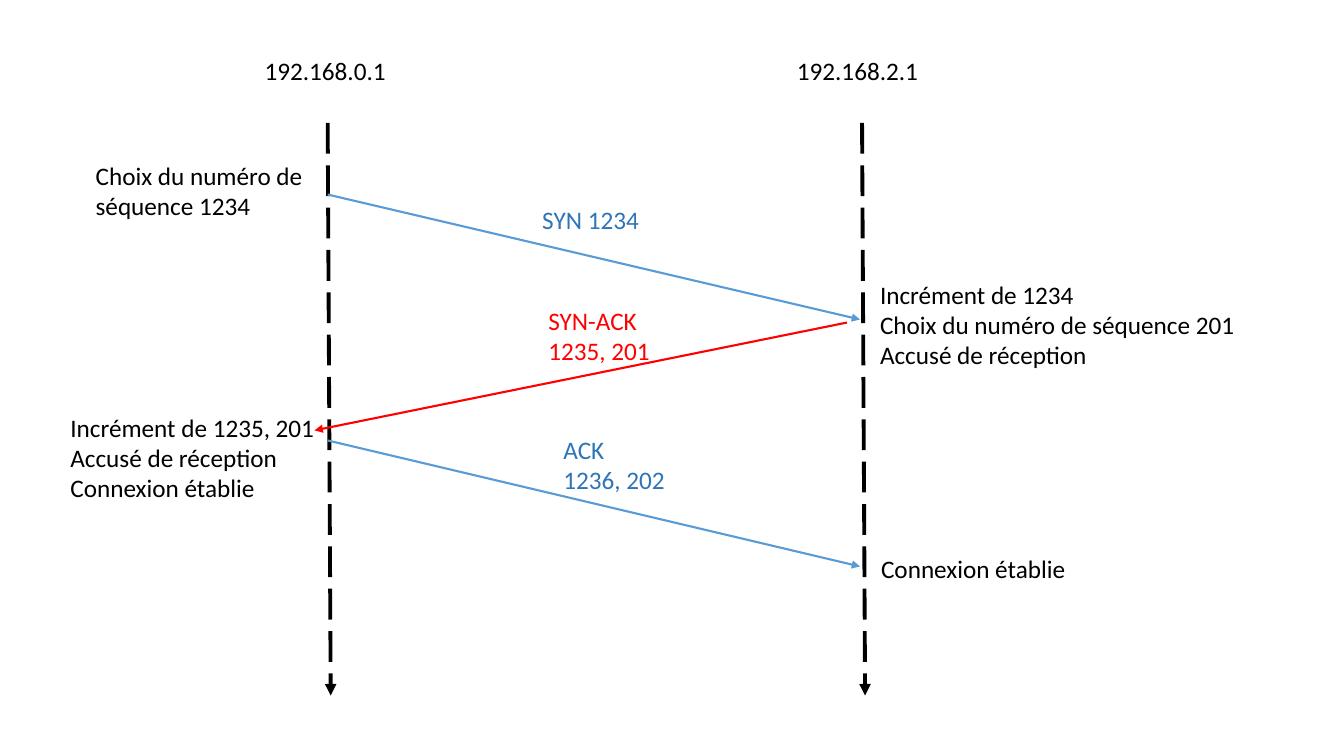
from pptx import Presentation
from pptx import util as u
from pptx.dml.color import RGBColor
from pptx.enum import dml, shapes, text
from pptx.oxml.ns import qn
from lxml import etree

BLACK = RGBColor(0x00, 0x00, 0x00)
BLUE = RGBColor(0x5B, 0x9B, 0xD5)
DARK_BLUE = RGBColor(0x2E, 0x75, 0xB6)
RED = RGBColor(0xFF, 0x00, 0x00)

WIDTH, HEIGHT = 13.33, 7.5
CLIENT_X, SERVER_X = 3.25, 8.55
LIFELINE_TOP, LIFELINE_BOTTOM, LIFELINE_DRIFT = 1.22, 6.9, 0.03
HOST_TOP, HOST_WIDTH = 0.5, 1.49
LABEL_WIDTH = 1.27
LINE_HEIGHT, BOX_PADDING = 0.3, 0.1

HOSTS = [("192.168.0.1", CLIENT_X, 0.02), ("192.168.2.1", SERVER_X, 0)]

MESSAGES = [
    ((CLIENT_X, 1.93), (SERVER_X - 0.02, 3.17), BLUE),
    ((SERVER_X - 0.15, 3.2), (CLIENT_X - 0.13, 4.27), RED),
    ((CLIENT_X, 4.37), (SERVER_X - 0.02, 5.62), BLUE),
]

LABELS = [
    (["SYN 1234"], 1, 5.28, 1.98, DARK_BLUE),
    (["SYN-ACK 1235, 201"], 2, 5.34, 2.98, RED),
    (["ACK", "1236, 202"], 2, 5.49, 4.26, DARK_BLUE),
]

NOTES = [
    (["Choix du numéro de séquence 1234"], 2, 0.85, 1.54, 2.38),
    (["Incrément de 1234", "Choix du numéro de séquence 201", "Accusé de réception"],
     3, SERVER_X + 0.08, 2.72, 3.82),
    (["Incrément de 1235, 201", "Accusé de réception", "Connexion établie"],
     3, 0.6, 4.04, 2.64),
    (["Connexion établie"], 1, SERVER_X + 0.09, 5.44, 2.35),
]


def add_arrow(slide, start, end, color, width, dash=None):
    points = [u.Inches(value) for value in (*start, *end)]
    connector = slide.shapes.add_connector(shapes.MSO_CONNECTOR.STRAIGHT, *points)
    connector.line.color.rgb = color
    connector.line.width = u.Pt(width)
    if dash is not None:
        connector.line.dash_style = dash
    properties = connector._element.spPr
    outline = properties.find(qn("a:ln"))
    etree.SubElement(outline, qn("a:tailEnd"), type="triangle")
    etree.SubElement(properties, qn("a:effectLst"))


def add_text(slide, lines, line_count, left, top, width, color=BLACK):
    height = LINE_HEIGHT * line_count + BOX_PADDING
    box = slide.shapes.add_textbox(*(u.Inches(v) for v in (left, top, width, height)))
    frame = box.text_frame
    frame.word_wrap = True
    frame.auto_size = text.MSO_AUTO_SIZE.SHAPE_TO_FIT_TEXT
    frame.text = "\n".join(lines)
    for paragraph in frame.paragraphs:
        for run in paragraph.runs:
            run.font.name = "Calibri"
            run.font.size = u.Pt(18)
            run.font.color.rgb = color


def main():
    presentation = Presentation()
    presentation.slide_width = u.Inches(WIDTH)
    presentation.slide_height = u.Inches(HEIGHT)
    slide = presentation.slides.add_slide(presentation.slide_layouts[6])

    for address, x, offset in HOSTS:
        add_arrow(slide, (x, LIFELINE_TOP), (x + LIFELINE_DRIFT, LIFELINE_BOTTOM),
                  BLACK, 2.75, dml.MSO_LINE.LONG_DASH)
        add_text(slide, [address], 1, x - HOST_WIDTH / 2 + offset, HOST_TOP, HOST_WIDTH)

    for start, end, color in MESSAGES:
        add_arrow(slide, start, end, color, 1.5)

    for lines, line_count, left, top, color in LABELS:
        add_text(slide, lines, line_count, left, top, LABEL_WIDTH, color)

    for note in NOTES:
        add_text(slide, *note)

    presentation.save("out.pptx")


if __name__ == "__main__":
    main()
